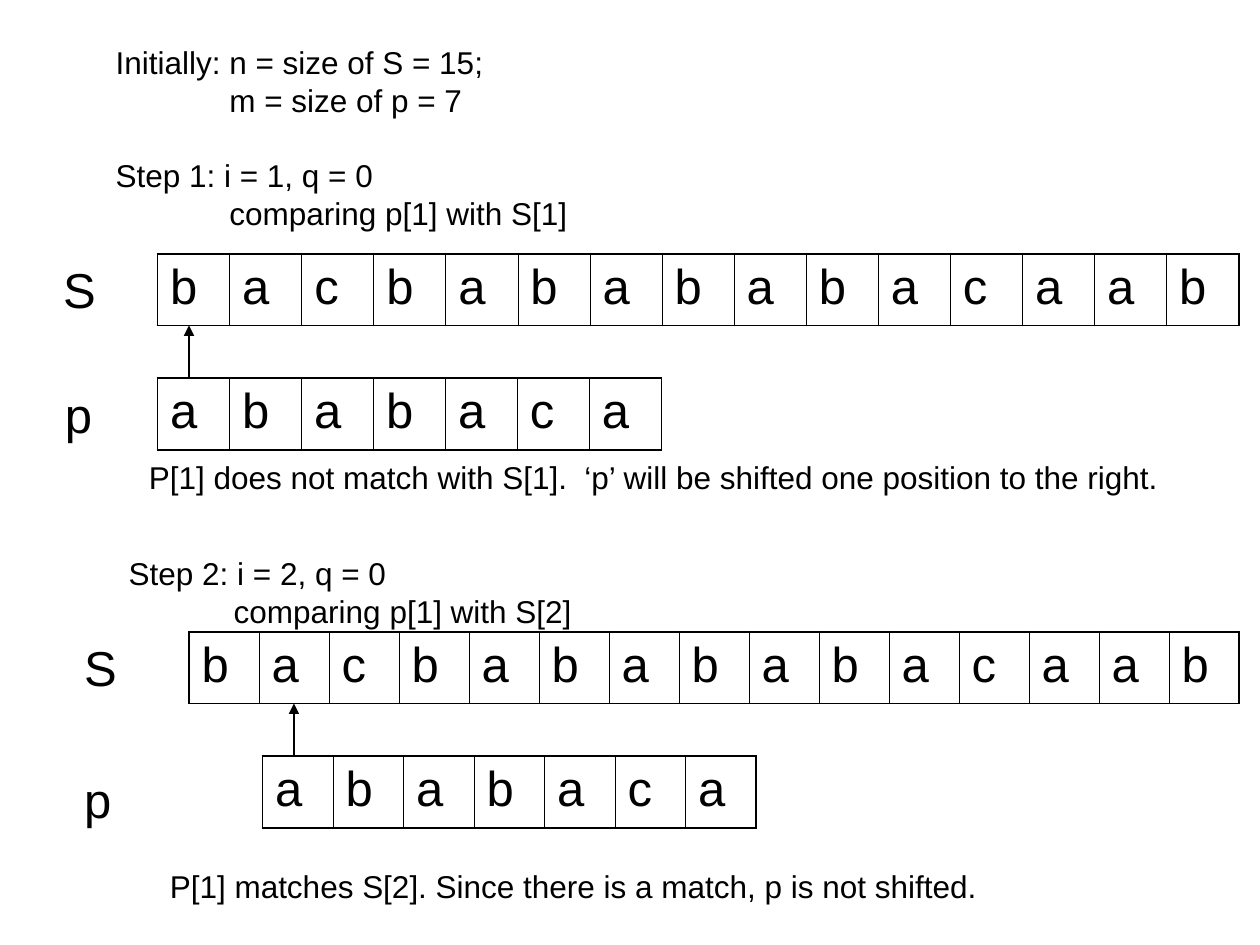
from lxml import etree
from pptx import Presentation
from pptx.dml.color import RGBColor
from pptx.enum.shapes import MSO_CONNECTOR
from pptx.enum.text import MSO_AUTO_SIZE
from pptx.oxml.ns import qn
from pptx.util import Pt

STRAIGHT = MSO_CONNECTOR.STRAIGHT
GROW = MSO_AUTO_SIZE.SHAPE_TO_FIT_TEXT
FONT = "Arial"
BLACK = "000000"
BODY_SIZE = 18
LETTER_SIZE = 28
BLANK_LAYOUT = 6
ROW_HEIGHT = 41
OUTER_LINE = 1.08
INNER_LINE = 0.45
TEXT = "bacbabababacaab"
PATTERN = "ababaca"


def color(value):
    return RGBColor.from_string(value)


def format_runs(paragraph, size):
    for run in paragraph.runs:
        run.font.name = FONT
        run.font.size = Pt(size)
        run.font.color.rgb = color(BLACK)


def add_text(slide, left, top, width, height, lines, size=BODY_SIZE, wrap=True):
    shape = slide.shapes.add_textbox(Pt(left), Pt(top), Pt(width), Pt(height))
    text_frame = shape.text_frame
    text_frame.word_wrap = wrap
    text_frame.auto_size = GROW
    for index, (text, indent, space_before) in enumerate(lines):
        paragraph = text_frame.paragraphs[0] if index == 0 else text_frame.add_paragraph()
        paragraph.text = text
        if indent:
            properties = paragraph._p.get_or_add_pPr()
            properties.set("marL", str(Pt(indent)))
            properties.set("indent", "0")
        if space_before:
            paragraph.space_before = Pt(space_before)
        format_runs(paragraph, size)


def add_label(slide, left, top, width, letter):
    add_text(slide, left, top, width, ROW_HEIGHT, [(letter, 0, 0)], LETTER_SIZE, wrap=False)


def set_border(cell, side, width):
    line = etree.SubElement(cell._tc.get_or_add_tcPr(), qn(f"a:{side}"), w=str(Pt(width)))
    fill = etree.SubElement(line, qn("a:solidFill"))
    etree.SubElement(fill, qn("a:srgbClr"), val=BLACK)


def add_letter_row(slide, left, top, width, letters):
    count = len(letters)
    table = slide.shapes.add_table(
        1, count, Pt(left), Pt(top), Pt(width), Pt(ROW_HEIGHT)
    ).table
    table.first_row = False
    table.horz_banding = False
    for index, letter in enumerate(letters):
        table.columns[index].width = Pt(width / count)
        cell = table.cell(0, index)
        cell.text_frame.text = letter
        format_runs(cell.text_frame.paragraphs[0], LETTER_SIZE)
        set_border(cell, "lnL", OUTER_LINE if index == 0 else INNER_LINE)
        set_border(cell, "lnR", OUTER_LINE if index == count - 1 else INNER_LINE)
        set_border(cell, "lnT", OUTER_LINE)
        set_border(cell, "lnB", OUTER_LINE)
        cell.fill.background()


def add_up_arrow(slide, x, bottom, top):
    connector = slide.shapes.add_connector(STRAIGHT, Pt(x), Pt(bottom), Pt(x), Pt(top))
    connector.line.color.rgb = color(BLACK)
    connector.line.width = Pt(0.75)
    etree.SubElement(connector.line._get_or_add_ln(), qn("a:tailEnd"), type="triangle")
    etree.SubElement(connector._element.spPr, qn("a:effectLst"))


def main():
    presentation = Presentation()
    presentation.slide_width = Pt(720)
    presentation.slide_height = Pt(540)
    slide = presentation.slides.add_slide(presentation.slide_layouts[BLANK_LAYOUT])

    add_letter_row(slide, 90, 145, 618, TEXT)
    add_letter_row(slide, 108, 361, 600, TEXT)
    add_letter_row(slide, 150, 432, 282, PATTERN)
    add_letter_row(slide, 90, 216, 288, PATTERN)

    add_text(slide, 59, 21, 287, 115, [
        ("Initially: n = size of S = 15;", 0, 0),
        ("m = size of p = 7", 65, 0),
        ("Step 1: i = 1, q = 0", 0, 21.5),
        ("comparing p[1] with S[1]", 65, 0),
    ])
    add_label(slide, 29, 145, 33, "S")
    add_label(slide, 30, 216, 30, "p")
    add_up_arrow(slide, 108, 216, 186)
    add_text(slide, 78, 258, 606, 62, [
        ("P[1] does not match with S[1].  ‘p’ will be shifted one position to the right.", 0, 0),
    ])

    add_label(slide, 41, 361, 33, "S")
    add_label(slide, 41, 436, 30, "p")
    add_text(slide, 66.5, 313, 280, 50, [
        ("Step 2: i = 2, q = 0", 0, 0),
        ("comparing p[1] with S[2]", 60, 0),
    ])
    add_up_arrow(slide, 168, 432, 402)
    add_text(slide, 90, 492, 485, 29, [
        ("P[1] matches S[2]. Since there is a match, p is not shifted.", 0, 0),
    ])

    presentation.save("out.pptx")


if __name__ == "__main__":
    main()
